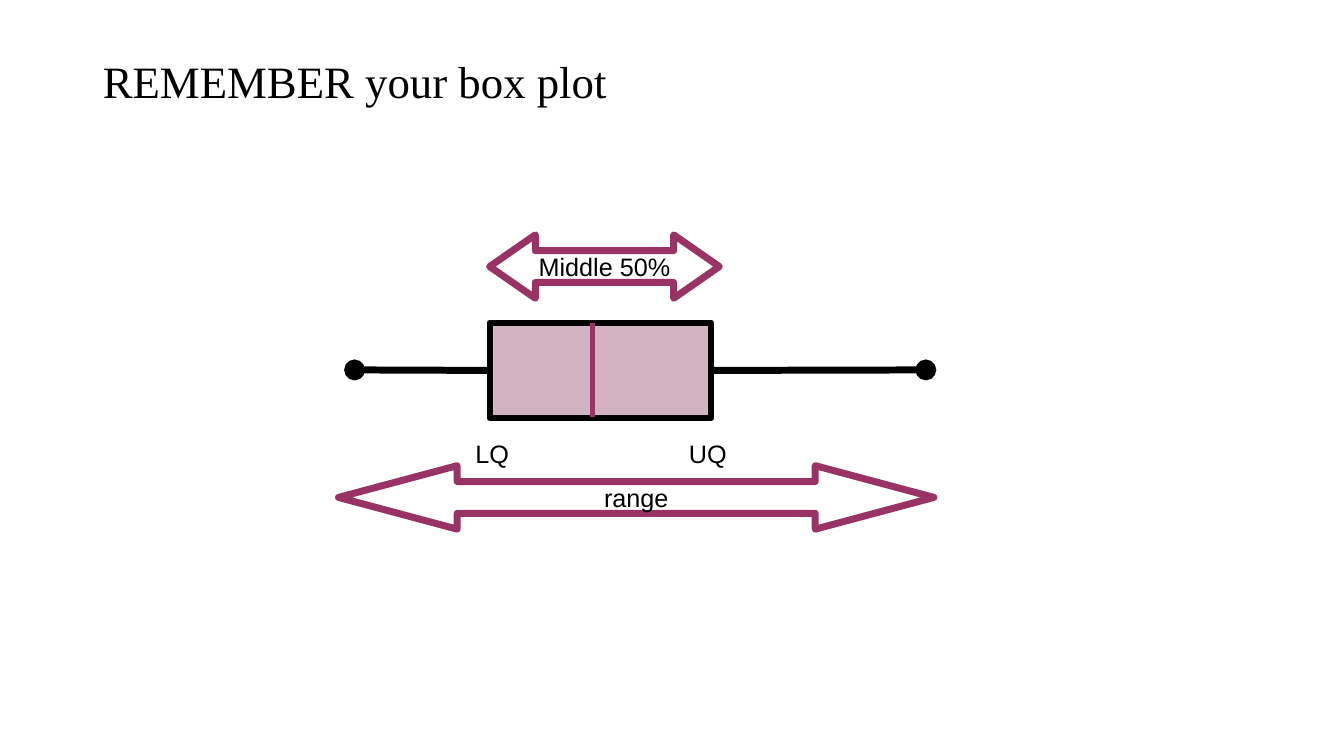
from lxml import etree
from pptx import Presentation
from pptx.dml.color import RGBColor
from pptx.enum import shapes as kinds, text as txt
from pptx.oxml.ns import qn
from pptx.util import Inches, Pt

BLACK = RGBColor(0x00, 0x00, 0x00)
WHITE = RGBColor(0xFF, 0xFF, 0xFF)
PLUM = RGBColor(0x99, 0x33, 0x66)
MAUVE = RGBColor(0x95, 0x4F, 0x72)

LEFT, RIGHT = 1, 3  # connection sites of a rectangle


def write(frame, words, size=18, font="Arial", align=txt.PP_ALIGN.LEFT,
          anchor=txt.MSO_ANCHOR.TOP, wrap=True):
    frame.word_wrap = wrap
    frame.vertical_anchor = anchor
    par = frame.paragraphs[0]
    par.alignment = align
    run = par.add_run()
    run.text = words
    run.font.size = Pt(size)
    run.font.name = font
    run.font.color.rgb = BLACK


def place(shape, x, y, w, h):
    shape.left, shape.top = Inches(x), Inches(y)
    shape.width, shape.height = Inches(w), Inches(h)


def draw(slide, kind, x, y, w, h, fill, alpha, line, weight):
    """Add a preset shape; alpha is the opacity of its fill in percent."""
    shape = slide.shapes.add_shape(kind, Inches(x), Inches(y), Inches(w), Inches(h))
    shape.shadow.inherit = False
    shape.fill.solid()
    shape.fill.fore_color.rgb = fill
    color = shape._element.spPr.find(qn("a:solidFill"))[0]
    etree.SubElement(color, qn("a:alpha"), val=str(alpha * 1000))
    shape.line.color.rgb = line
    shape.line.width = Pt(weight)
    return shape


def span(slide, words, x, y, w, head):
    """Add a labelled double arrow; head is its head length over its height."""
    arrow = draw(slide, kinds.MSO_SHAPE.LEFT_RIGHT_ARROW, x, y, w, 0.63,
                 WHITE, 67, PLUM, 5)
    arrow.adjustments[0] = 0.5
    arrow.adjustments[1] = head
    write(arrow.text_frame, words, align=txt.PP_ALIGN.CENTER,
          anchor=txt.MSO_ANCHOR.MIDDLE, wrap=False)


def rule(slide, x1, y1, x2, y2, color, weight):
    line = slide.shapes.add_connector(
        kinds.MSO_CONNECTOR.STRAIGHT, Inches(x1), Inches(y1), Inches(x2), Inches(y2))
    line.line.color.rgb = color
    line.line.width = Pt(weight)
    etree.SubElement(line._element.spPr, qn("a:effectLst"))
    return line


def whisker(slide, box, site, x1, x2):
    line = rule(slide, x1, 3.67, x2, 3.67, BLACK, 5)
    line.begin_connect(box, site)
    etree.SubElement(line.line._get_or_add_ln(), qn("a:tailEnd"), type="oval")


def label(slide, words, x):
    box = slide.shapes.add_textbox(Inches(x), Inches(4.3), Inches(0.63), Inches(0.4))
    write(box.text_frame, words)


def main():
    deck = Presentation()
    deck.slide_width, deck.slide_height = Inches(13.34), Inches(7.5)
    slide = deck.slides.add_slide(deck.slide_layouts[5])

    title = slide.shapes.title
    place(title, 0.92, 0.4, 11.5, 0.87)
    write(title.text_frame, "REMEMBER your box plot", size=32,
          font="Times New Roman", anchor=txt.MSO_ANCHOR.MIDDLE)
    title.text_frame.paragraphs[0].line_spacing = 0.9

    box = draw(slide, kinds.MSO_SHAPE.RECTANGLE, 4.86, 3.2, 2.2, 0.95,
               MAUVE, 43, BLACK, 4.25)
    rule(slide, 5.88, 3.2, 5.88, 4.14, PLUM, 4)
    whisker(slide, box, RIGHT, 7.06, 9.19)
    whisker(slide, box, LEFT, 4.86, 3.52)

    label(slide, "LQ", 4.62)
    label(slide, "UQ", 6.74)
    span(slide, "Middle 50%", 4.86, 2.33, 2.28, 0.72)
    span(slide, "range", 3.36, 4.62, 5.91, 1.87)

    deck.save("out.pptx")


if __name__ == "__main__":
    main()
